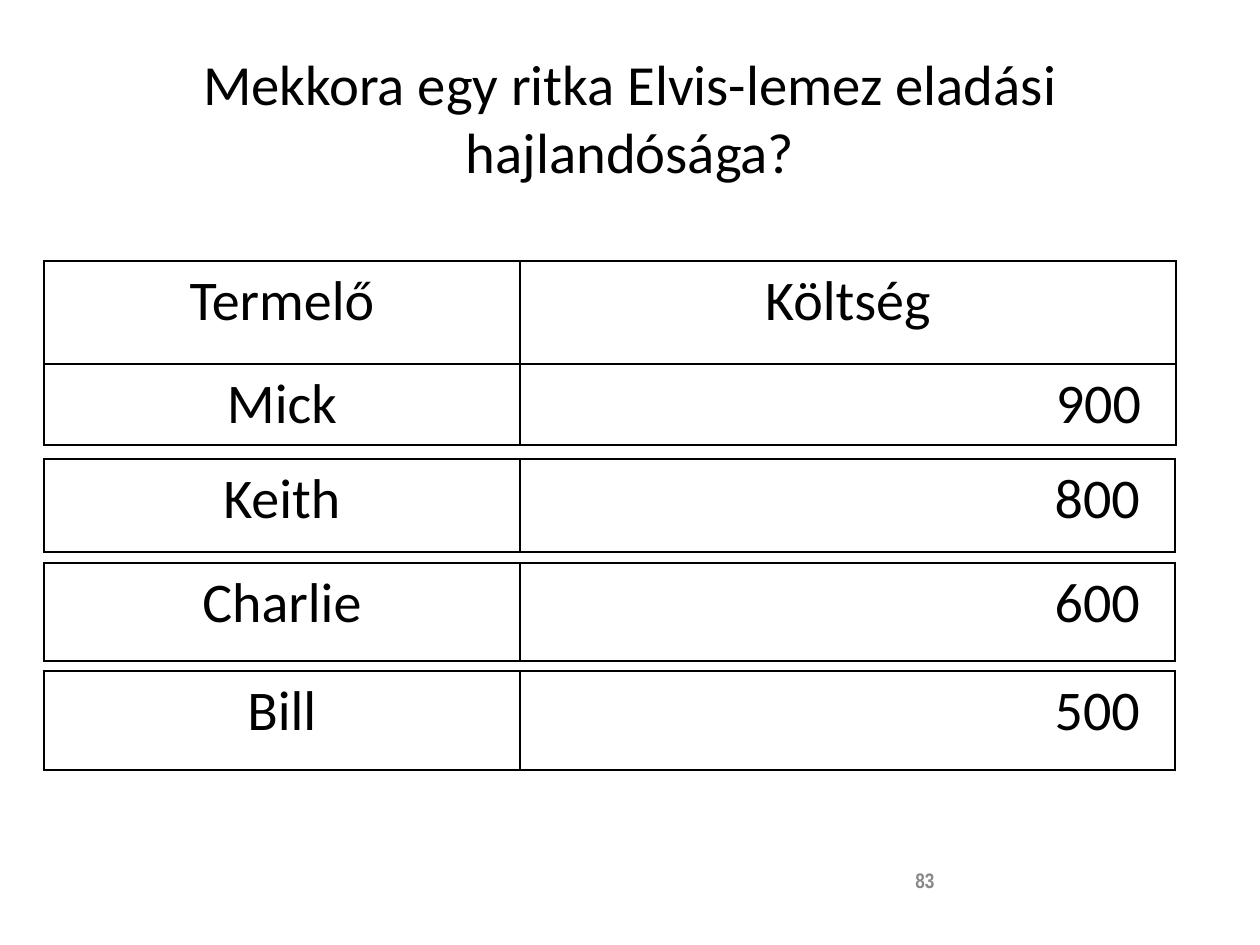
from dataclasses import dataclass

from pptx import Presentation
from pptx.dml.color import RGBColor
from pptx.enum.text import MSO_ANCHOR, MSO_AUTO_SIZE, PP_ALIGN as Align
from pptx.oxml.ns import qn
from pptx.util import Pt
from lxml.etree import SubElement

PX = 914400 / 126


@dataclass(frozen=True)
class Theme:
    font: str = "Calibri"
    number_font: str = "Arial Narrow"
    ink: str = "000000"
    muted: str = "898989"
    title_size: float = 32.4
    cell_size: float = 32
    number_size: float = 12


THEME = Theme()
TABLE_LEFT = 44
NAME_WIDTH = 476
CELL_PAD_X, CELL_PAD_Y, COST_PAD = 13, 6, 35
HANGING = 48
BORDER = 1


def px(n):
    return round(n * PX)


def add_run(p, text, size, font=THEME.font, color=THEME.ink, bold=False):
    r = p.add_run()
    r.text = text
    r.font.name = font
    r.font.size = Pt(size)
    r.font.bold = bold
    r.font.color.rgb = RGBColor.from_string(color)


def place(sp, left, top, width, height):
    sp.left, sp.top, sp.width, sp.height = map(px, (left, top, width, height))


def set_title(s, text):
    sp = s.shapes.title
    place(sp, 63, 38, 1134, 157)
    tf = sp.text_frame
    tf.word_wrap = True
    tf.auto_size = MSO_AUTO_SIZE.NONE
    tf.vertical_anchor = MSO_ANCHOR.MIDDLE
    p = tf.paragraphs[0]
    p.alignment = Align.CENTER
    add_run(p, text, THEME.title_size)


def set_borders(cell):
    tc_pr = cell._tc.get_or_add_tcPr()
    for side in ("a:lnL", "a:lnR", "a:lnT", "a:lnB"):
        ln = SubElement(tc_pr, qn(side), w=str(Pt(BORDER)))
        fill = SubElement(ln, qn("a:solidFill"))
        SubElement(fill, qn("a:srgbClr"), val=THEME.ink)


def fill_cell(cell, text, align, pad_right):
    cell.margin_left, cell.margin_right = px(CELL_PAD_X), px(pad_right)
    cell.margin_top = cell.margin_bottom = px(CELL_PAD_Y)
    set_borders(cell)
    cell.fill.background()
    p = cell.text_frame.paragraphs[0]
    p.alignment = align
    p_pr = p._p.get_or_add_pPr()
    p_pr.set("marL", str(px(HANGING)))
    p_pr.set("indent", str(-px(HANGING)))
    add_run(p, text, THEME.cell_size)


def add_cost_table(s, top, cost_width, heights, rows):
    widths = (NAME_WIDTH, cost_width)
    frame = s.shapes.add_table(len(rows), 2, px(TABLE_LEFT), px(top),
                               px(sum(widths)), px(sum(heights)))
    table = frame.table
    table.first_row = table.horz_banding = False
    for col, width in zip(table.columns, widths):
        col.width = px(width)
    for row, height, (name, cost) in zip(table.rows, heights, rows):
        row.height = px(height)
        fill_cell(row.cells[0], name, Align.CENTER, CELL_PAD_X)
        if cost.isdigit():
            fill_cell(row.cells[1], cost, Align.RIGHT, COST_PAD)
        else:
            fill_cell(row.cells[1], cost, Align.CENTER, CELL_PAD_X)


def add_page_number(s, text):
    sp = s.shapes.add_textbox(px(903), px(861), px(294), px(66))
    tf = sp.text_frame
    tf.word_wrap = True
    add_run(tf.paragraphs[0], text, THEME.number_size,
            THEME.number_font, THEME.muted, bold=True)


def main():
    prs = Presentation()
    prs.slide_width, prs.slide_height = px(1260), px(945)
    s = prs.slides.add_slide(prs.slide_layouts[5])
    set_title(s, "Mekkora egy ritka Elvis-lemez eladási hajlandósága?")
    tables = (
        (261, 656, (103, 81), (("Termelő", "Költség"), ("Mick", "900"))),
        (459, 655, (93,), (("Keith", "800"),)),
        (563, 655, (98,), (("Charlie", "600"),)),
        (671, 655, (99,), (("Bill", "500"),)),
    )
    for top, cost_width, heights, rows in tables:
        add_cost_table(s, top, cost_width, heights, rows)
    add_page_number(s, "83")
    prs.save("out.pptx")


if __name__ == "__main__":
    main()
